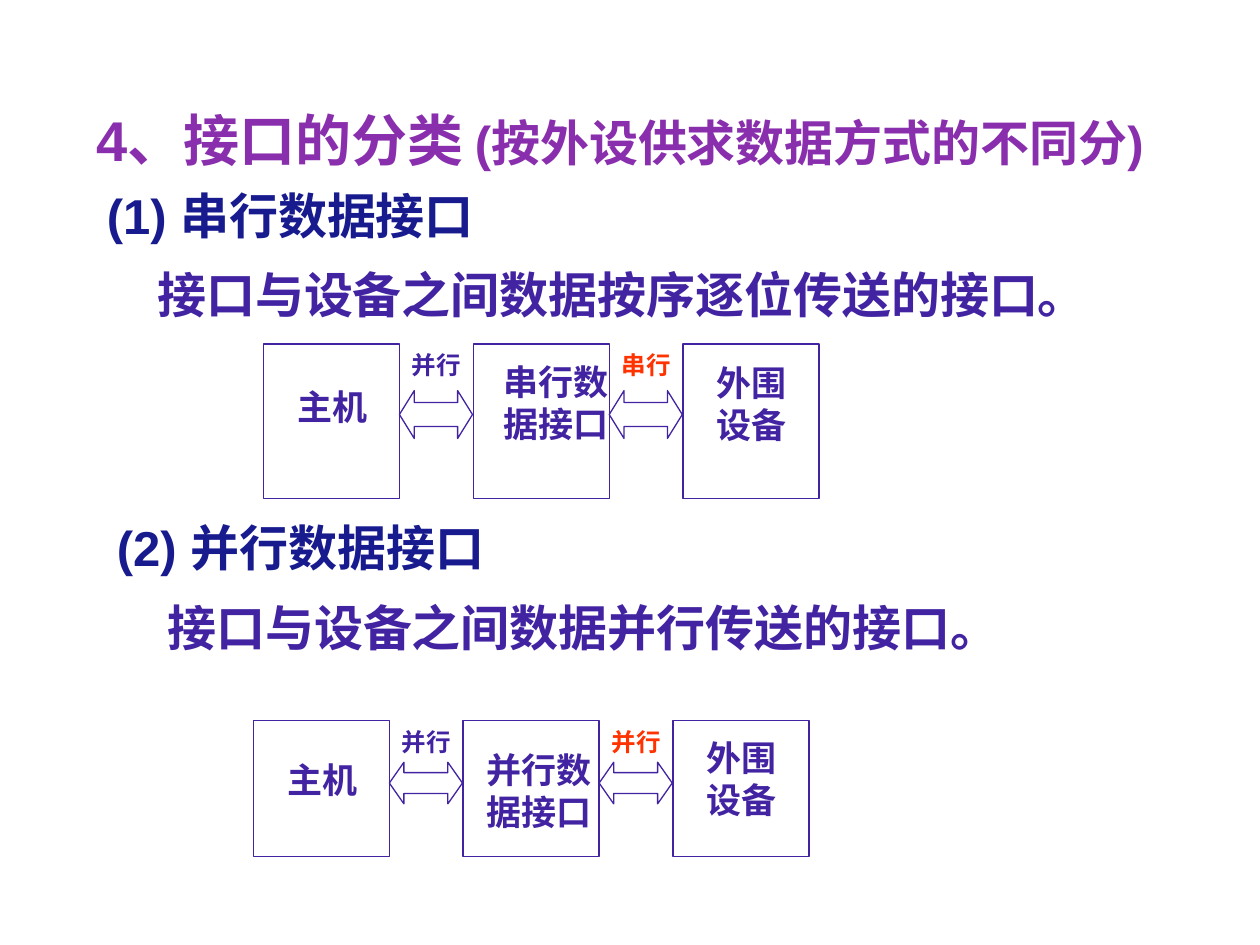
from pptx import Presentation
from pptx.dml.color import RGBColor
from pptx.enum.shapes import MSO_SHAPE
from pptx.enum.text import MSO_ANCHOR, PP_ALIGN
from pptx.oxml.ns import qn
from pptx.util import Inches, Pt
from lxml import etree

RECT, ARROW = MSO_SHAPE.RECTANGLE, MSO_SHAPE.LEFT_RIGHT_ARROW
LEFT, CENTER = PP_ALIGN.LEFT, PP_ALIGN.CENTER
TOP, BOTTOM = MSO_ANCHOR.TOP, MSO_ANCHOR.BOTTOM

THEME = {
    "title": "892FAD", "heading": "181B8E", "ink": "4224A2", "accent": "FF3300",
    "title_size": 32, "text_size": 28, "box_size": 20, "label_size": 14,
    "latin": "Arial", "serif": "Times New Roman", "cjk": "Noto Sans CJK SC",
}

TITLE = [("4、接口的分类", THEME["title_size"]),
         (" (按外设供求数据方式的不同分)", THEME["text_size"])]

SECTIONS = [
    {"at": (0.75, 1.42, 8.5, 1.42), "number": "(1) ", "heading": "串行数据接口",
     "body": "接口与设备之间数据按序逐位传送的接口。"},
    {"at": (0.83, 4.06, 7.29, 1.2), "number": "(2) ", "heading": "并行数据接口",
     "body": "接口与设备之间数据并行传送的接口。"},
]

DIAGRAMS = [
    {"left": 2.09, "top": 2.73, "height": 1.23, "arrow": (0.37, 0.38, 0.31),
     "links": [("并行", "ink"), ("串行", "accent")],
     "texts": [((0.17, 0.28, 0.75, 0.44), ["主机"]),
               ((1.81, 0.08, 1.04, 0.77), ["串行数据接口"]),
               ((3.5, 0.09, 0.75, 0.77), ["外围", "设备"])]},
    {"left": 2.01, "top": 5.72, "height": 1.08, "arrow": (0.33, 0.33, 0.35),
     "links": [("并行", "ink"), ("并行", "accent")],
     "texts": [((0.17, 0.25, 0.75, 0.44), ["主机"]),
               ((1.75, 0.17, 1.03, 0.77), ["并行数", "据接口"]),
               ((3.5, 0.08, 0.75, 0.77), ["外围", "设备"])]},
]
BOX_WIDTH, PITCH, LINK_WIDTH = 1.08, 1.665, 0.58
LINE_RATIO = 1.2


def add_run(p, text, size, color, font=THEME["serif"]):
    r = p.add_run()
    r.text = text
    r.font.size = Pt(size)
    r.font.bold = True
    r.font.color.rgb = RGBColor.from_string(THEME[color])
    r.font.name = font
    ea = etree.SubElement(r._r.get_or_add_rPr(), qn("a:ea"))
    ea.set("typeface", THEME["cjk"])


def write(tf, paragraphs, line_sizes=None, align=LEFT, anchor=TOP,
          inset=0.1, before=0, indents=()):
    tf.word_wrap = True
    tf.vertical_anchor = anchor
    tf.margin_left, tf.margin_right = Inches(inset), Inches(0)
    tf.margin_top = tf.margin_bottom = Inches(0.05)
    for i, runs in enumerate(paragraphs):
        p = tf.paragraphs[0] if i == 0 else tf.add_paragraph()
        p.alignment = align
        p.space_before = Pt(before if i else 0)
        if line_sizes:
            p.line_spacing = Pt(round(line_sizes[i] * LINE_RATIO, 1))
        if indents:
            p._p.get_or_add_pPr().set("marL", str(Inches(indents[i])))
        for run in runs:
            add_run(p, *run)


def add_text(shapes, at, paragraphs, **fmt):
    sp = shapes.add_textbox(*map(Inches, at))
    fmt.setdefault("line_sizes", [runs[0][1] for runs in paragraphs])
    write(sp.text_frame, paragraphs, **fmt)


def add_outline(shapes, kind, *at):
    sp = shapes.add_shape(kind, *map(Inches, at))
    sp.shadow.inherit = False
    sp.fill.background()
    sp.line.color.rgb = RGBColor.from_string(THEME["ink"])
    sp.line.width = Pt(0.75)
    return sp


def add_diagram(s, diagram):
    shapes = s.shapes.add_group_shape().shapes
    left, top = diagram["left"], diagram["top"]
    for i in range(len(diagram["texts"])):
        add_outline(shapes, RECT, left + i * PITCH, top, BOX_WIDTH, diagram["height"])
    drop, height, head = diagram["arrow"]
    for i, (label, color) in enumerate(diagram["links"]):
        x = left + BOX_WIDTH + i * PITCH
        arrow = add_outline(shapes, ARROW, x, top + drop, LINK_WIDTH, height)
        arrow.adjustments[0], arrow.adjustments[1] = 0.5, head
        add_text(shapes, (x, top, 0.59, 0.34),
                 [[(label, THEME["label_size"], color)]])
    for (dx, dy, width, height), lines in diagram["texts"]:
        add_text(shapes, (left + dx, top + dy, width, height),
                 [[(line, THEME["box_size"], "ink")] for line in lines])


def main():
    prs = Presentation()
    prs.slide_width, prs.slide_height = Inches(10), Inches(7.5)
    s = prs.slides.add_slide(prs.slide_layouts[5])
    title = s.shapes.title
    title.left, title.top, title.width, title.height = map(Inches, (0.42, 0.75, 9, 0.67))
    write(title.text_frame,
          [[(text, size, "title", THEME["latin"]) for text, size in TITLE]],
          align=CENTER, anchor=BOTTOM, inset=0)
    size = THEME["text_size"]
    for section in SECTIONS:
        add_text(s.shapes, section["at"],
                 [[(section["number"], size, "heading", THEME["latin"]),
                   (section["heading"], size, "heading", THEME["cjk"])],
                  [(section["body"], size, "ink")]],
                 line_sizes=[size, THEME["title_size"]], before=7, indents=(0, 0.4))
    for diagram in DIAGRAMS:
        add_diagram(s, diagram)
    prs.save("out.pptx")


if __name__ == "__main__":
    main()
